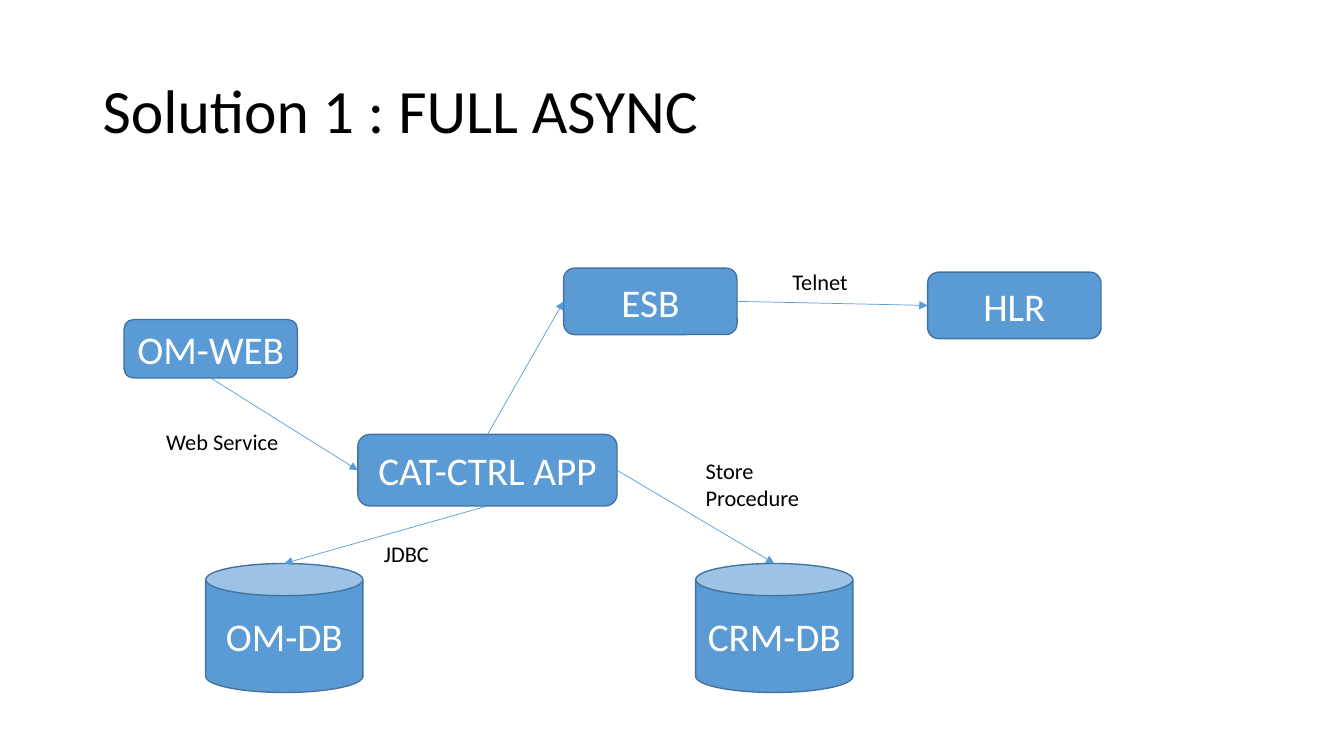
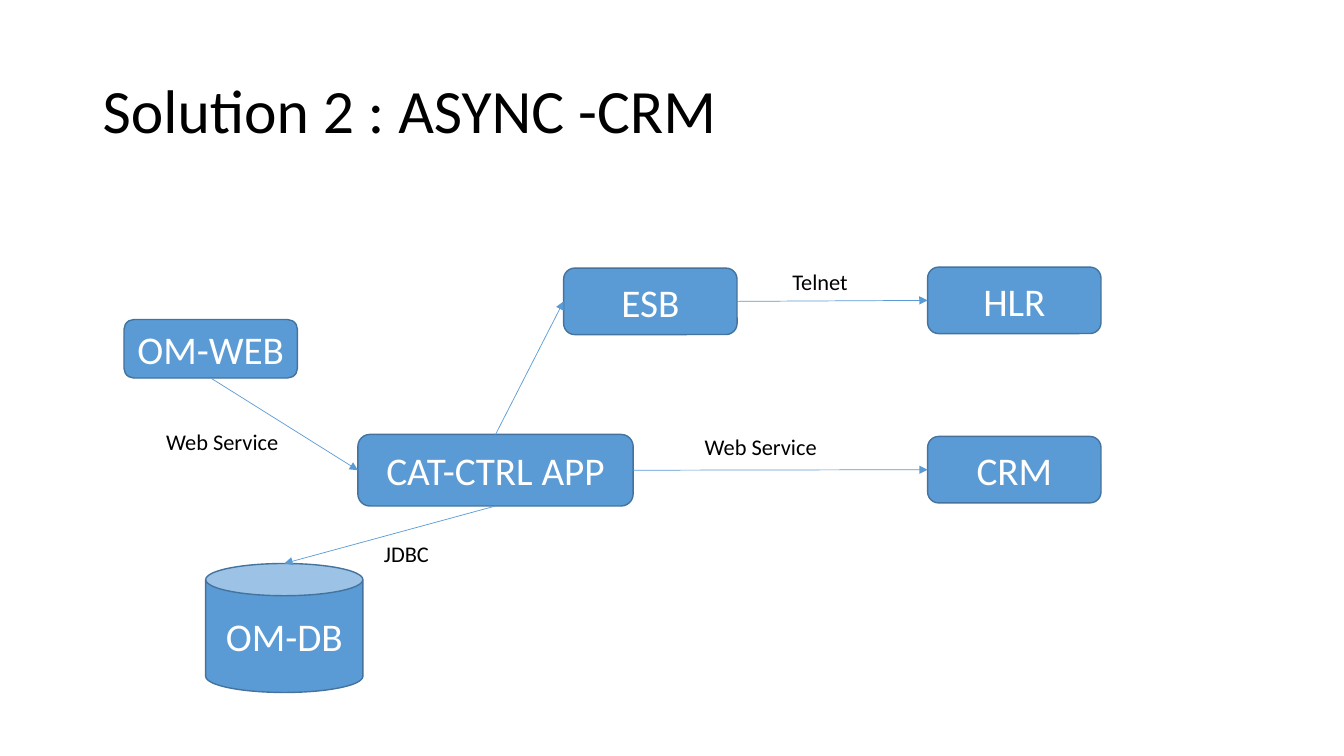
from lxml import etree
from pptx import Presentation
from pptx.dml.color import RGBColor as RGB
from pptx.enum.shapes import MSO_CONNECTOR as LINK, MSO_SHAPE as SHAPE
from pptx.enum.text import MSO_ANCHOR as ANCHOR, PP_ALIGN as ALIGN
from pptx.oxml.ns import qn
from pptx.util import Inches, Pt

HUES = {"fill": "5B9BD5", "edge": "43739E", "dark": "000000", "light": "FFFFFF"}
FONT = "Calibri"
TOP, LEFT, BASE, RIGHT = range(4)
BOX, CAN = SHAPE.ROUNDED_RECTANGLE, SHAPE.CAN


def write(shape, text, size, hue):
    frame = shape.text_frame
    frame.word_wrap = True
    frame.text = text
    font = frame.paragraphs[0].runs[0].font
    font.name, font.size = FONT, Pt(size)
    font.color.rgb = RGB.from_string(HUES[hue])
    return frame


def label(slide, text, size, spot):
    area = slide.shapes.add_textbox(*map(Inches, spot))
    return write(area, text, size, "dark")


# Parts found on both slides
nodes = [
    ("OM-WEB", BOX, (1.23, 3.17, 1.72, 0.58)),
    ("ESB", BOX, (5.59, 2.66, 1.72, 0.66)),
    ("OM-DB", CAN, (2.04, 5.59, 1.56, 1.28)),
]
links = [
    ("CAT-CTRL APP", TOP, "ESB", LEFT),
    ("OM-WEB", BASE, "CAT-CTRL APP", LEFT),
    ("CAT-CTRL APP", BASE, "OM-DB", TOP),
    ("ESB", RIGHT, "HLR", LEFT),
]
notes = [
    ("Web Service", (1.55, 4.2, 1.39, 0.37)),
    ("JDBC", (3.71, 5.31, 0.73, 0.37)),
    ("Telnet", (7.76, 2.61, 0.89, 0.37)),
]

# Parts that differ: title, nodes, link to the CRM, its label
plans = [
    ("Solution 1 : FULL ASYNC",
     [("HLR", BOX, (9.2, 2.7, 1.72, 0.66)),
      ("CAT-CTRL APP", BOX, (3.55, 4.31, 2.57, 0.71)),
      ("CRM-DB", CAN, (6.9, 5.59, 1.56, 1.28))],
     ("CAT-CTRL APP", RIGHT, "CRM-DB", TOP),
     ("Store Procedure", (6.9, 4.49, 1.23, 0.64))),
    ("Solution 2 : ASYNC -CRM",
     [("HLR", BOX, (9.2, 2.65, 1.72, 0.66)),
      ("CAT-CTRL APP", BOX, (3.55, 4.31, 2.73, 0.71)),
      ("CRM", BOX, (9.2, 4.33, 1.72, 0.66))],
     ("CAT-CTRL APP", RIGHT, "CRM", LEFT),
     ("Web Service", (6.89, 4.25, 1.39, 0.37))),
]

deck = Presentation()
deck.slide_width, deck.slide_height = Inches(13.33), Inches(7.5)

for title, own, link, note in plans:
    slide = deck.slides.add_slide(deck.slide_layouts[6])

    # Title
    frame = label(slide, title, 44, (0.92, 0.4, 11.5, 1.45))
    frame.vertical_anchor = ANCHOR.MIDDLE
    frame.paragraphs[0].line_spacing = 0.9

    # Systems and databases
    made = {}
    for name, kind, spot in nodes + own:
        node = slide.shapes.add_shape(kind, *map(Inches, spot))
        node.shadow.inherit = False
        node.fill.solid()
        node.fill.fore_color.rgb = RGB.from_string(HUES["fill"])
        node.line.color.rgb = RGB.from_string(HUES["edge"])
        node.line.width = Pt(1)
        frame = write(node, name, 28, "light")
        frame.vertical_anchor = ANCHOR.MIDDLE
        frame.paragraphs[0].alignment = ALIGN.CENTER
        made[name] = node

    # Arrows
    for start, out, end, into in links + [link]:
        goal = made[end]
        mid = goal.left + goal.width // 2
        line = slide.shapes.add_connector(LINK.STRAIGHT, 0, 0, mid, goal.top)
        line.begin_connect(made[start], out)
        # A can numbers its sides differently, so its arrow ends free
        if goal.auto_shape_type == BOX:
            line.end_connect(goal, into)
        line.line.color.rgb = RGB.from_string(HUES["fill"])
        line.line.width = Pt(0.5)
        props = line.line._get_or_add_ln()
        etree.SubElement(props, qn("a:tailEnd"), type="triangle")
        etree.SubElement(line._element.spPr, qn("a:effectLst"))

    # Protocol labels
    for text, spot in notes + [note]:
        label(slide, text, 16, spot)

deck.save("out.pptx")
